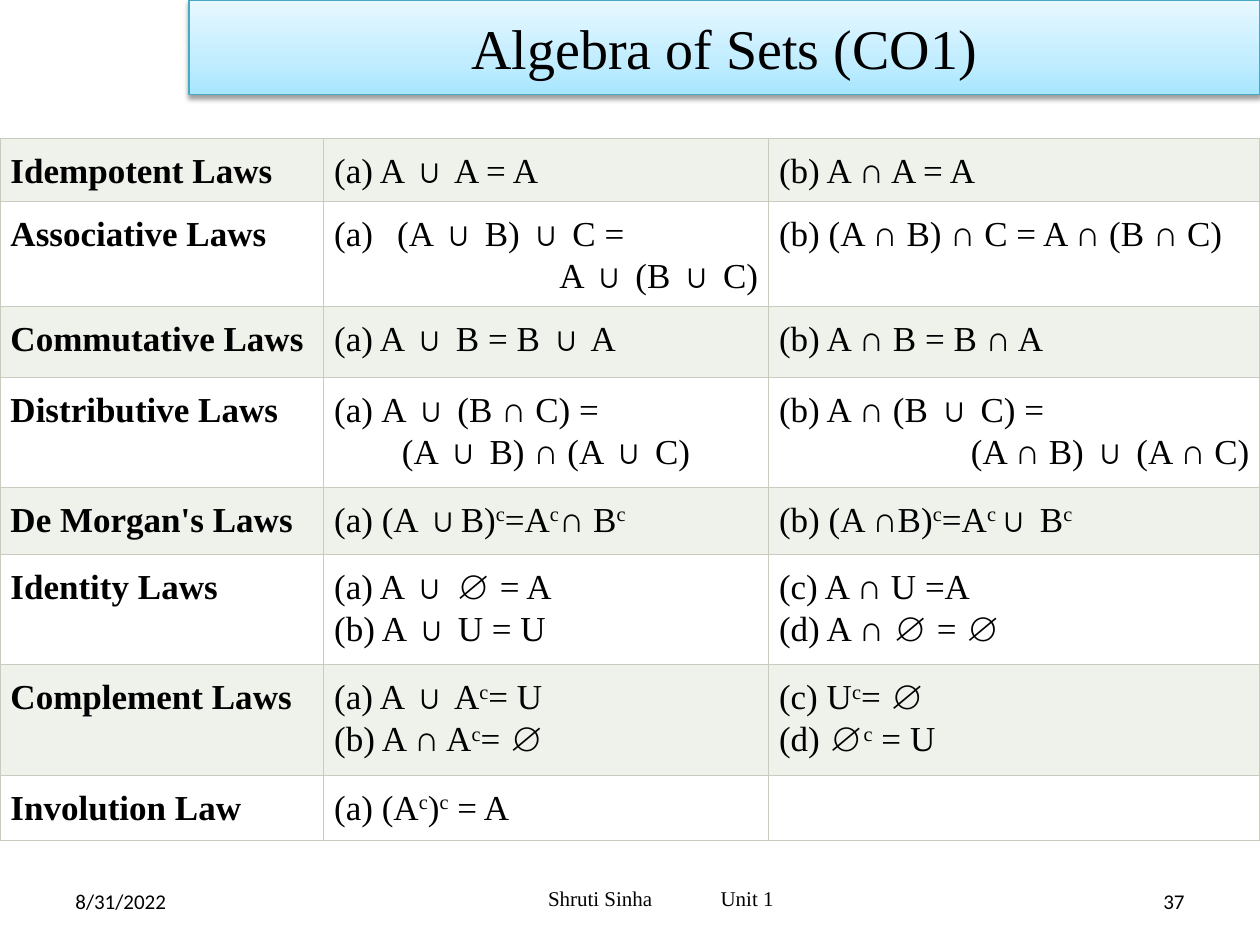
"""Build the Algebra of Sets slide."""
import dataclasses
import pptx
import pptx.dml.color
import pptx.enum.text
import pptx.oxml
import pptx.oxml.ns
import pptx.util

Pt = pptx.util.Pt
Align = pptx.enum.text.PP_ALIGN
Anchor = pptx.enum.text.MSO_ANCHOR


@dataclasses.dataclass(frozen=True)
class Theme:
    """Colours, fonts and type sizes."""
    ink: str = "000000"
    band: str = "EFF1EB"
    plain: str = "FFFFFF"
    grid: str = "C7CCBE"
    edge: str = "46AAC5"
    fade: tuple = ((0, "A7E6FF"), (35, "C1EDFF"), (100, "E7F8FF"))
    serif: str = "Times New Roman"
    sans: str = "Calibri"
    head: int = 32
    body: int = 20
    foot: int = 12
    rule: float = 0.75


def rgb(code):
    """Turn a hex code into a colour."""
    return pptx.dml.color.RGBColor.from_string(code)


def put(item, form):
    """Set each format value on an object."""
    for name, value in form.items():
        setattr(item, name, value)


def graft(root, xml):
    """Append a piece of drawing XML to an element."""
    space = pptx.oxml.ns.nsdecls("a")
    root.append(pptx.oxml.parse_xml(xml.replace(" ", f" {space} ", 1)))


class Deck:
    """Hold the style and the current slide."""

    def __init__(self, theme, size):
        """Open a deck with one titled slide."""
        self.theme = theme
        self.file = pptx.Presentation()
        put(self.file, dict(zip(("slide_width", "slide_height"), map(Pt, size))))
        self.slide = self.file.slides.add_slide(self.file.slide_layouts[5])

    def place(self, shape, rect):
        """Move and size a shape."""
        put(shape, dict(zip(("left", "top", "width", "height"), map(Pt, rect))))

    def letter(self, para, text, size, face, bold=False):
        """Set text, with raised parts between carets."""
        for row, line in enumerate(text.split("\n")):
            if row:
                para.add_line_break()
            for part, words in enumerate(line.split("^")):
                if not words:
                    continue
                run = para.add_run()
                run.text = words
                put(run.font, {"size": Pt(size), "name": face, "bold": bold})
                run.font.color.rgb = rgb(self.theme.ink)
                if part % 2:
                    run._r.get_or_add_rPr().set("baseline", "30000")

    def title(self, text, rect):
        """Fill the title banner."""
        theme, shape = self.theme, self.slide.shapes.title
        self.place(shape, rect)
        stops = "".join(f'<a:gs pos="{pos * 1000}"><a:srgbClr val="{code}"/></a:gs>'
                        for pos, code in theme.fade)
        props = shape._element.spPr
        graft(props, '<a:prstGeom prst="rect"><a:avLst/></a:prstGeom>')
        graft(props, f'<a:gradFill rotWithShape="1"><a:gsLst>{stops}</a:gsLst>'
                     '<a:lin ang="16200000" scaled="0"/></a:gradFill>')
        shape.line.color.rgb = rgb(theme.edge)
        shape.line.width = Pt(theme.rule)
        graft(props, f'<a:effectLst ><a:outerShdw blurRad="{Pt(3.1)}" dist="{Pt(1.6)}" '
                     f'dir="5400000" rotWithShape="0"><a:srgbClr val="{theme.ink}">'
                     '<a:alpha val="38000"/></a:srgbClr></a:outerShdw></a:effectLst>')
        put(shape.text_frame, {"vertical_anchor": Anchor.MIDDLE, "word_wrap": True})
        para = shape.text_frame.paragraphs[0]
        para.alignment = Align.CENTER
        self.letter(para, text, theme.head, theme.serif)

    def note(self, text, rect, face, align=Align.LEFT, inset=7.2, tab=None):
        """Add a line of footer text."""
        box = self.slide.shapes.add_textbox(*map(Pt, rect))
        put(box.text_frame, {"word_wrap": True, "vertical_anchor": Anchor.MIDDLE,
                             "margin_left": Pt(inset)})
        para = box.text_frame.paragraphs[0]
        para.alignment = align
        if tab:
            graft(para._p.get_or_add_pPr(),
                  f'<a:tabLst ><a:tab pos="{Pt(tab)}" algn="l"/></a:tabLst>')
        self.letter(para, text, self.theme.foot, face)

    def cell(self, cell, lines, fill, bold):
        """Fill and frame one table cell."""
        theme = self.theme
        for side in "LRTB":
            graft(cell._tc.get_or_add_tcPr(),
                  f'<a:ln{side} w="{Pt(theme.rule)}"><a:solidFill>'
                  f'<a:srgbClr val="{theme.grid}"/></a:solidFill></a:ln{side}>')
        cell.fill.solid()
        cell.fill.fore_color.rgb = rgb(fill)
        put(cell, {f"margin_{side}": Pt(6) for side in ("left", "right", "top", "bottom")})
        frame = cell.text_frame
        for row, (text, align, hang) in enumerate(lines):
            para = frame.add_paragraph() if row else frame.paragraphs[0]
            put(para, {"alignment": align, "line_spacing": Pt(24)})
            if hang:
                props = para._p.get_or_add_pPr()
                props.set("marL", str(Pt(hang)))
                props.set("indent", str(-Pt(hang)))
                graft(props, f'<a:buFont typeface="{theme.serif}"/>')
                graft(props, '<a:buAutoNum type="alphaLcParenBoth"/>')
            self.letter(para, text, theme.body, theme.serif, bold)

    def table(self, rows, rect, wide, high):
        """Add the banded table of laws."""
        grid = self.slide.shapes.add_table(len(rows), len(wide), *map(Pt, rect)).table
        put(grid, {"first_row": False, "horz_banding": False})
        for col, size in zip(grid.columns, wide):
            col.width = Pt(size)
        for row, (band, size) in enumerate(zip(grid.rows, high)):
            band.height = Pt(size)
            fill = self.theme.plain if row % 2 else self.theme.band
            for col, item in enumerate(rows[row]):
                lines = [(item, Align.LEFT, 0)] if isinstance(item, str) else item
                self.cell(grid.cell(row, col), lines, fill, col == 0)


LAWS = [
    ("Idempotent Laws", "(a) A ∪ A = A", "(b) A ∩ A = A"),
    ("Associative Laws",
     [("(A ∪ B) ∪ C =", Align.LEFT, 36), ("A ∪ (B ∪ C)", Align.RIGHT, 0)],
     "(b) (A ∩ B) ∩ C = A ∩ (B ∩ C)"),
    ("Commutative Laws", "(a) A ∪ B = B ∪ A", "(b) A ∩ B = B ∩ A"),
    ("Distributive Laws",
     [("A ∪ (B ∩ C) =", Align.LEFT, 27), ("(A ∪ B) ∩ (A ∪ C)", Align.CENTER, 0)],
     [("(b) A ∩ (B ∪ C) =", Align.LEFT, 0), ("(A ∩ B) ∪ (A ∩ C)", Align.RIGHT, 0)]),
    ("De Morgan's Laws", "(a) (A ∪B)^c^=A^c^∩ B^c", "(b) (A ∩B)^c^=A^c^∪ B^c"),
    ("Identity Laws", "(a) A ∪ ∅ = A\n(b) A ∪ U = U", "(c) A ∩ U =A\n(d) A ∩ ∅ = ∅"),
    ("Complement Laws", "(a) A ∪ A^c^= U\n(b) A ∩ A^c^= ∅", "(c) U^c^= ∅\n(d) ∅^c^ = U"),
    ("Involution Law", "(a) (A^c^)^c^ = A", ""),
]


def main():
    """Build and save the slide."""
    theme = Theme()
    deck = Deck(theme, (720, 540))
    deck.note("8/31/2022", (36, 500.5, 168, 28.8), theme.sans)
    deck.note("37", (516, 500.5, 168, 28.8), theme.sans, Align.RIGHT)
    deck.title("Algebra of Sets (CO1)", (108, 0, 612, 54))
    deck.note("Shruti Sinha\tUnit 1", (180, 499, 396, 28.8), theme.serif,
              inset=133.2, tab=98.6)
    deck.table(LAWS, (0, 79.2, 720, 401), (185, 254.2, 280.8),
               (36, 60, 40.3, 63, 38.5, 63, 63, 37.5))
    deck.file.save("out.pptx")


if __name__ == "__main__":
    main()
